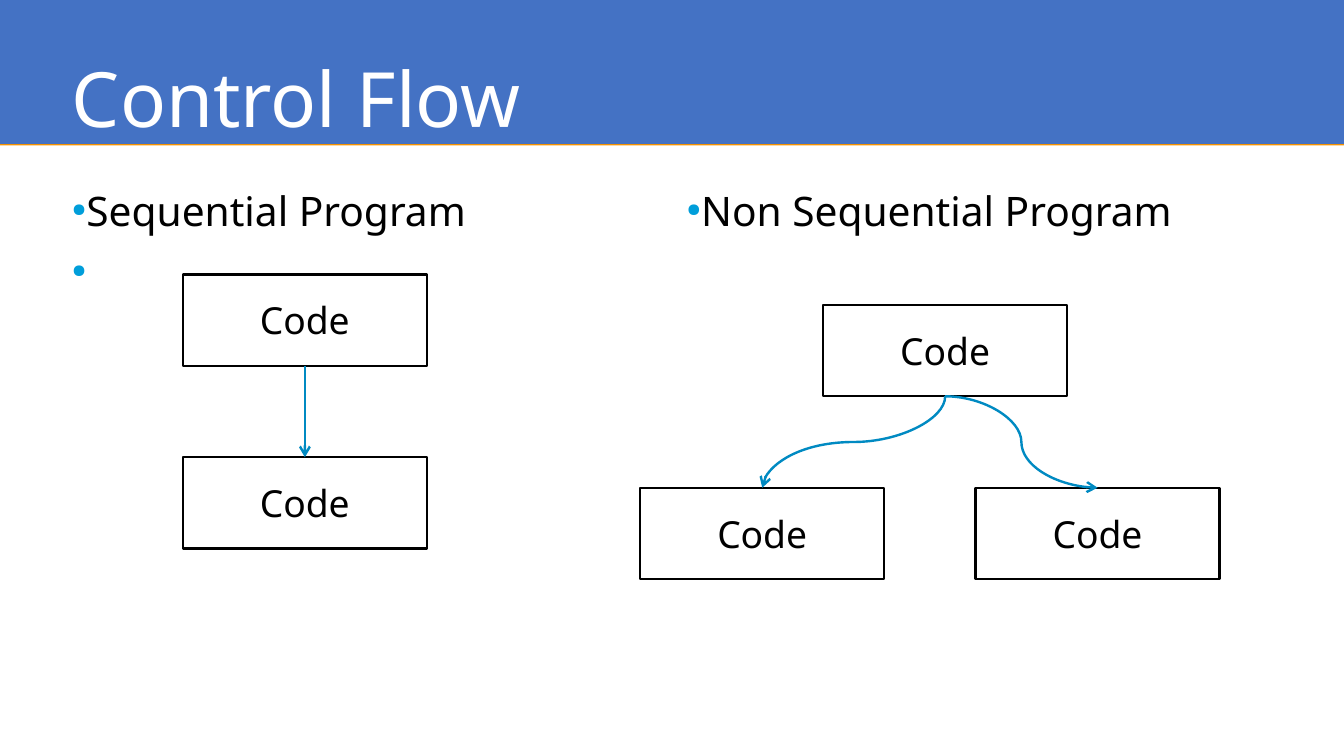
import pptx
import pptx.util
import pptx.dml.color
import pptx.enum.shapes
import pptx.enum.text
import pptx.oxml
import pptx.oxml.ns
from pptx.util import Pt

# Content: lengths in points
FONT = "Noto Sans"
COLORS = {"banner": "4472C4", "edge": "F49100", "title": "FFFFFF", "text": "000000",
          "bullet": "009EDA", "box": "FFFFFF", "arrow": "008AC2"}
SLIDE_WIDTH, SLIDE_HEIGHT = 793.44, 446.4
BANNER_HEIGHT = 85
TITLE = "Control Flow"
COLUMNS = [  # left edge, bulleted lines
    (42.5, ["Sequential Program", " "]),
    (405.4, ["Non Sequential Program"]),
]
BOX_WIDTH, BOX_HEIGHT = 144, 54
BOX_LABEL = "Code"
BOXES = {  # left, top
    "first step": (108, 162),
    "second step": (108, 270),
    "branch": (486, 180),
    "left path": (378, 288),
    "right path": (576, 288),
}
ARROWS = [  # from, to, whether the curve leaves downwards
    ("first step", "second step", True),
    ("branch", "left path", True),
    ("branch", "right path", False),
]

deck = pptx.Presentation()
deck.slide_width, deck.slide_height = Pt(SLIDE_WIDTH), Pt(SLIDE_HEIGHT)
page = deck.slides.add_slide(deck.slide_layouts[6])


def rgb(name):
    return pptx.dml.color.RGBColor.from_string(COLORS[name])


def add_xml(parent, tag, content="", **attributes):
    listed = " ".join(f'{key}="{value}"' for key, value in attributes.items())
    namespace = pptx.oxml.ns.nsdecls("a")
    parent.append(pptx.oxml.parse_xml(f"<a:{tag} {namespace} {listed}>{content}</a:{tag}>"))


def add_rectangle(left, top, width, height, fill):
    shape = page.shapes.add_shape(pptx.enum.shapes.MSO_SHAPE.RECTANGLE,
                                  Pt(left), Pt(top), Pt(width), Pt(height))
    shape.fill.solid()
    shape.fill.fore_color.rgb = rgb(fill)
    return shape


def prepare_frame(shape, anchor, margin=0, wrap=True):
    frame = shape.text_frame
    frame.word_wrap = wrap
    frame.vertical_anchor = anchor
    frame.margin_left = frame.margin_right = Pt(margin)
    frame.margin_top = frame.margin_bottom = Pt(margin)
    return frame


def write(para, text, size, color):
    para.text = text
    para.font.name, para.font.size = FONT, Pt(size)
    para.font.color.rgb = rgb(color)


# Banner with a thin edge below
banner = add_rectangle(0, 0, SLIDE_WIDTH, BANNER_HEIGHT, "banner")
banner.line.fill.background()
add_xml(banner.element.spPr, "effectLst",
        f'<a:outerShdw dist="{Pt(0.9)}" dir="5400000" algn="ctr" rotWithShape="0">'
        f'<a:srgbClr val="{COLORS["edge"]}"/></a:outerShdw>')

# Title
title = page.shapes.add_textbox(Pt(42.5), Pt(7.2), Pt(708.5), Pt(77.8))
title_frame = prepare_frame(title, pptx.enum.text.MSO_ANCHOR.BOTTOM, wrap=False)
write(title_frame.paragraphs[0], TITLE, 45, "title")
title_frame.paragraphs[0].line_spacing = 0.9

# Bulleted columns
for left, lines in COLUMNS:
    column = page.shapes.add_textbox(Pt(left), Pt(113), Pt(345.6), Pt(276.5))
    frame = prepare_frame(column, pptx.enum.text.MSO_ANCHOR.TOP)
    for number, line in enumerate(lines):
        para = frame.add_paragraph() if number else frame.paragraphs[0]
        write(para, line, 24, "text")
        para.line_spacing, para.space_after = 0.9, Pt(10.5)
        properties = para.font._element.getparent()
        bullet = [("buClr", f'<a:srgbClr val="{COLORS["bullet"]}"/>', {}),
                  ("buSzPct", "", {"val": 45000}),
                  ("buChar", "", {"char": "●"})]
        run_defaults = para.font._element
        for tag, content, attributes in bullet:
            add_xml(properties, tag, content, **attributes)
        properties.append(run_defaults)

# Code boxes
for left, top in BOXES.values():
    box = add_rectangle(left, top, BOX_WIDTH, BOX_HEIGHT, "box")
    box.shadow.inherit = False
    box.line.color.rgb, box.line.width = rgb("text"), Pt(1.42)
    frame = prepare_frame(box, pptx.enum.text.MSO_ANCHOR.MIDDLE, 2.9, wrap=False)
    write(frame.paragraphs[0], BOX_LABEL, 22, "text")
    frame.paragraphs[0].alignment = pptx.enum.text.PP_ALIGN.CENTER

# Arrows from the bottom of one box to the top of the next
for source, target, downwards in ARROWS:
    start_x, end_x = (BOXES[name][0] + BOX_WIDTH / 2 for name in (source, target))
    start_y, end_y = BOXES[source][1] + BOX_HEIGHT, BOXES[target][1]
    if downwards:  # laid out sideways, then turned a quarter
        middle_x, middle_y = (start_x + end_x) / 2, (start_y + end_y) / 2
        half_width, half_height = (end_y - start_y) / 2, (start_x - end_x) / 2
        start_x, end_x = middle_x - half_width, middle_x + half_width
        start_y, end_y = middle_y - half_height, middle_y + half_height
    arrow = page.shapes.add_connector(pptx.enum.shapes.MSO_CONNECTOR.CURVE,
                                      Pt(start_x), Pt(start_y), Pt(end_x), Pt(end_y))
    if downwards:
        arrow.element.spPr.find(pptx.oxml.ns.qn("a:xfrm")).set("rot", "5400000")
    arrow.line.color.rgb, arrow.line.width = rgb("arrow"), Pt(1.42)
    add_xml(arrow.line._get_or_add_ln(), "tailEnd", type="arrow")
    add_xml(arrow.element.spPr, "effectLst")

deck.save("out.pptx")
